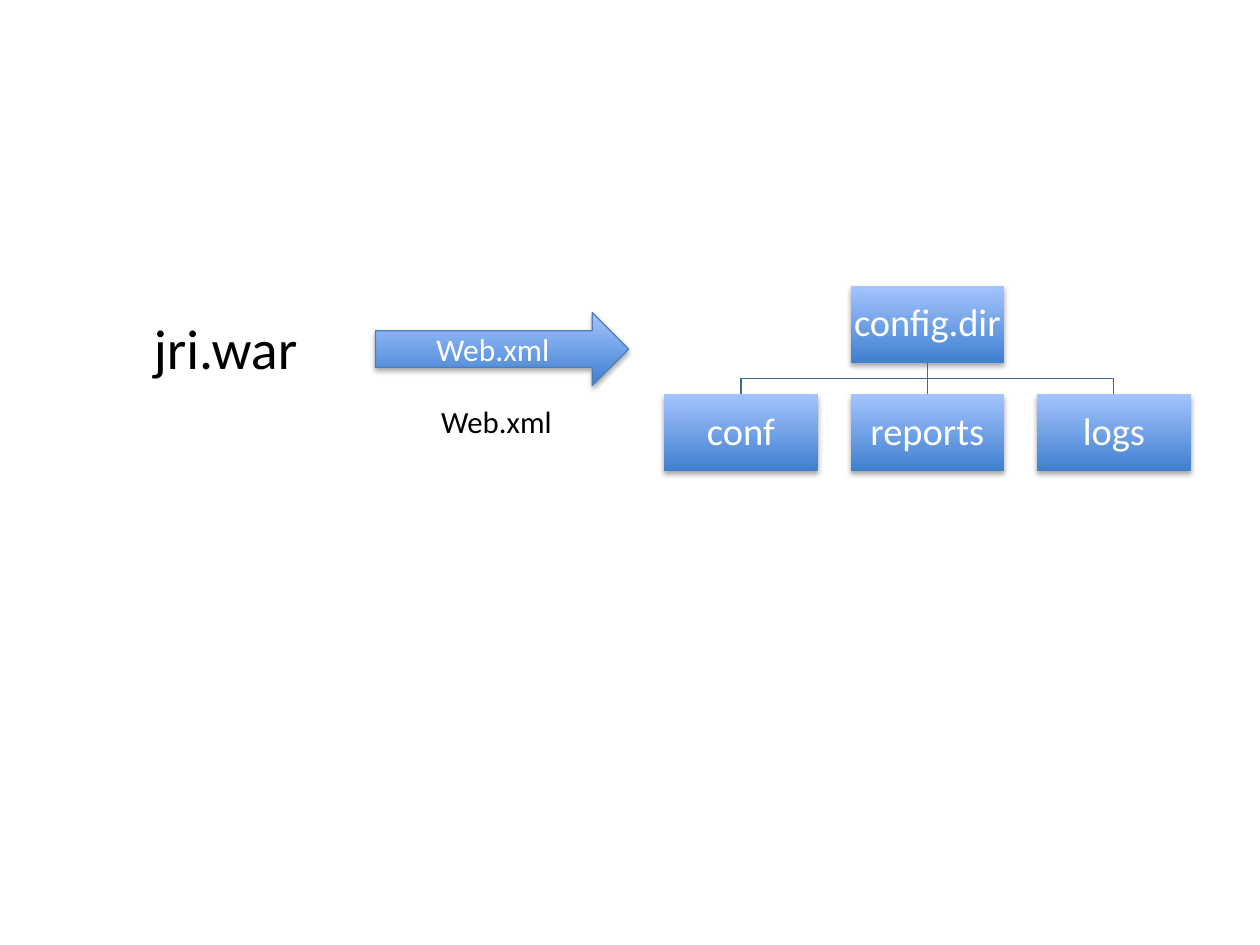
from lxml import etree
from pptx import Presentation
from pptx import util as u
from pptx.dml import color as dml
from pptx.enum import shapes, text
from pptx.oxml import ns, parse_xml

SHADOW = (
    f'<a:effectLst {ns.nsdecls("a")}>'
    '<a:outerShdw blurRad="39370" dist="22860" dir="5400000" rotWithShape="0">'
    '<a:srgbClr val="000000"><a:alpha val="35000"/></a:srgbClr>'
    '</a:outerShdw></a:effectLst>'
)
LINE_COLOR = "3F6797"


def rgb(value):
    return dml.RGBColor.from_string(value)


def write(shape, words, size, color, inset=0.05):
    frame = shape.text_frame
    margin = u.Inches(inset)
    frame_format = {
        "text": words,
        "word_wrap": True,
        "auto_size": text.MSO_AUTO_SIZE.NONE,
        "vertical_anchor": text.MSO_ANCHOR.MIDDLE,
        "margin_left": margin,
        "margin_right": margin,
        "margin_top": margin,
        "margin_bottom": margin,
    }
    for name, value in frame_format.items():
        setattr(frame, name, value)
    paragraph = frame.paragraphs[0]
    paragraph.alignment = text.PP_ALIGN.CENTER
    font = paragraph.runs[0].font
    for name, value in {"name": "Calibri", "size": u.Pt(size)}.items():
        setattr(font, name, value)
    font.color.rgb = rgb(color)


presentation = Presentation()
presentation.slide_width = u.Inches(10)
presentation.slide_height = u.Inches(7.5)
slide = presentation.slides.add_slide(presentation.slide_layouts[0])
subtitle = slide.placeholders[1].element
subtitle.getparent().remove(subtitle)

title = slide.shapes.title
title_place = {"left": 0.75, "top": 2.33, "width": 2.08, "height": 0.85}
for name, value in title_place.items():
    setattr(title, name, u.Inches(value))
write(title, "jri.war", 32, "000000")

label = slide.shapes.add_textbox(u.Inches(3.35), u.Inches(3.06), u.Inches(1.18), u.Inches(0.57))
write(label, "Web.xml", 17.6, "000000")

arrow = slide.shapes.add_shape(
    shapes.MSO_SHAPE.RIGHT_ARROW, u.Inches(2.98), u.Inches(2.48), u.Inches(2.01), u.Inches(0.58)
)
write(arrow, "Web.xml", 18, "FFFFFF")
arrow.line.color.rgb = rgb("4B7EBC")
arrow.line.width = u.Pt(0.75)

box_width, box_height, column_step = 1.22, 0.61, 1.48
first_left, root_top, child_top = 5.27, 2.27, 3.13
folders = [("config.dir", 1, root_top)]
folders += [(name, column, child_top) for column, name in enumerate(["conf", "reports", "logs"])]

boxes = []
for name, column, top in folders:
    box = slide.shapes.add_shape(
        shapes.MSO_SHAPE.RECTANGLE,
        u.Inches(first_left + column * column_step),
        u.Inches(top),
        u.Inches(box_width),
        u.Inches(box_height),
    )
    write(box, name, 22, "FFFFFF", 0.02)
    box.text_frame.paragraphs[0].line_spacing = 0.9
    box.line.fill.background()
    boxes.append(box)

for shape in [arrow, *boxes]:
    shape.fill.gradient()
    shape.fill.gradient_angle = 90
    for stop, color in zip(shape.fill.gradient_stops, ["3F7FCE", "A4C4FF"]):
        stop.color.rgb = rgb(color)
    shape.element.spPr.append(parse_xml(SHADOW))

root, conf, reports, logs = boxes
trunk = slide.shapes.add_connector(shapes.MSO_CONNECTOR.STRAIGHT, 0, 0, 0, 0)
trunk.begin_connect(root, 2)
trunk.end_connect(reports, 0)
etree.SubElement(trunk.element.spPr, ns.qn("a:effectLst"))

branches = [trunk]
root_center = root.left + root.width // 2
root_bottom = root.top + root.height
middle = (root_bottom + conf.top) // 2
for child in [conf, logs]:
    center = child.left + child.width // 2
    builder = slide.shapes.build_freeform(root_center, root_bottom)
    builder.add_line_segments(
        [(root_center, middle), (center, middle), (center, child.top)], close=False
    )
    branch = builder.convert_to_shape()
    branch.fill.background()
    branch.shadow.inherit = False
    branches.append(branch)

for branch in branches:
    branch.line.color.rgb = rgb(LINE_COLOR)
    branch.line.width = u.Pt(0.75)

presentation.save("out.pptx")
